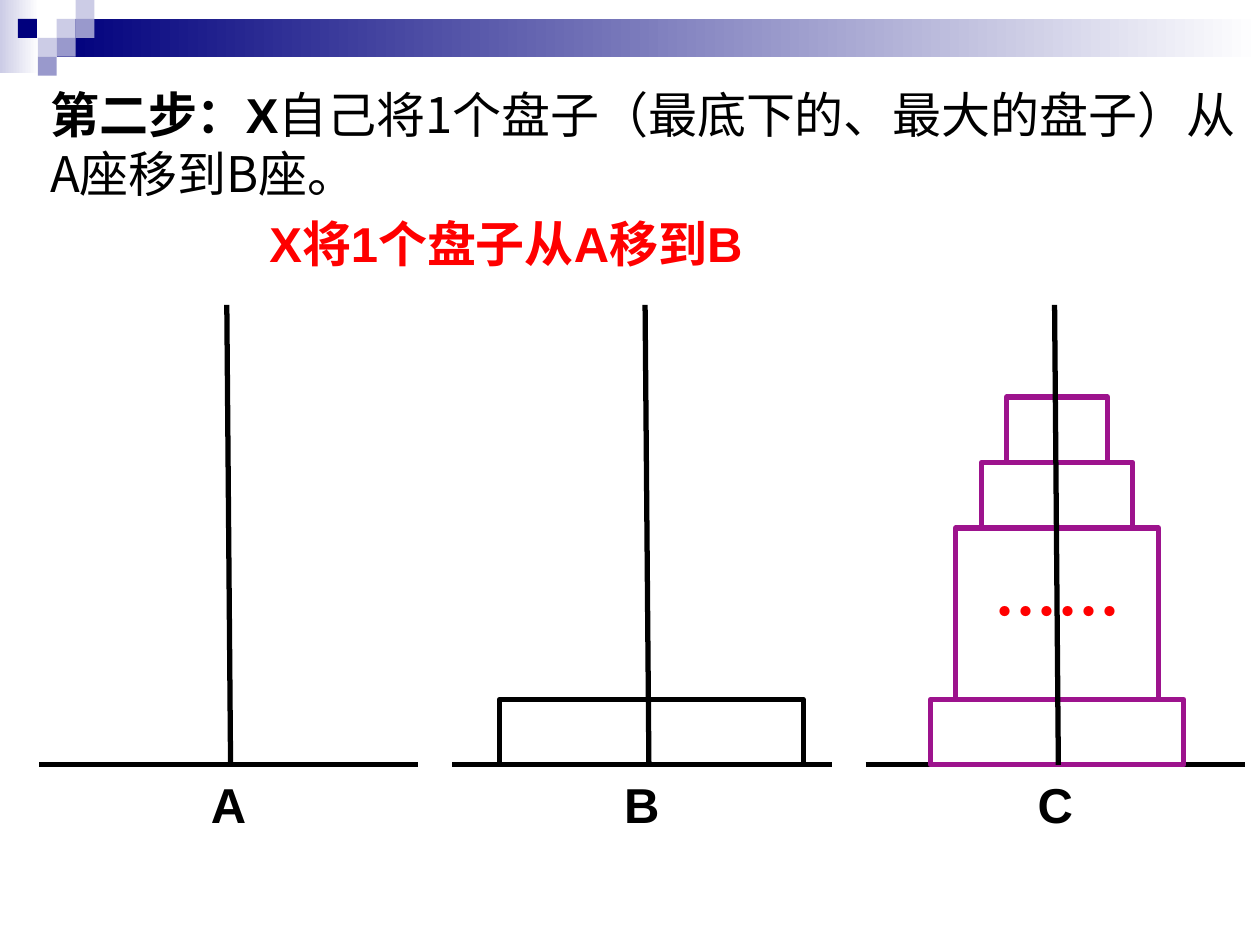
from dataclasses import dataclass

from lxml.etree import SubElement
from pptx import Presentation
from pptx.dml.color import RGBColor
from pptx.enum.shapes import MSO_CONNECTOR, MSO_SHAPE
from pptx.enum.text import MSO_ANCHOR, PP_ALIGN
from pptx.oxml.ns import qn
from pptx.util import Inches, Pt


@dataclass(frozen=True)
class Theme:
    navy: str = "00007D"
    mid: str = "9999CC"
    pale: str = "CCCCE6"
    white: str = "FFFFFF"
    black: str = "000000"
    purple: str = "9D138D"
    red: str = "FF0000"
    latin: str = "Arial"
    cjk: str = "Noto Sans CJK SC"
    body: int = 28
    dots: int = 36
    stroke: int = 3


T = Theme()


def rgb(value):
    return RGBColor.from_string(value)


def add_box(s, kind, x, y, w, h):
    sp = s.shapes.add_shape(kind, Inches(x), Inches(y), Inches(w), Inches(h))
    sp.shadow.inherit = False
    return sp


def add_block(s, x, y, w, h, color, fade=False):
    sp = add_box(s, MSO_SHAPE.RECTANGLE, x, y, w, h)
    sp.line.fill.background()
    if fade:
        sp.fill.gradient()
        sp.fill.gradient_angle = 0
        for stop, (pos, tone) in zip(sp.fill.gradient_stops,
                                     ((0, color), (1, T.white))):
            stop.position = pos
            stop.color.rgb = rgb(tone)
    else:
        sp.fill.solid()
        sp.fill.fore_color.rgb = rgb(color)


def add_line(s, x1, y1, x2, y2):
    line = s.shapes.add_connector(MSO_CONNECTOR.STRAIGHT, Inches(x1), Inches(y1),
                                  Inches(x2), Inches(y2))
    line.line.color.rgb = rgb(T.black)
    line.line.width = Pt(T.stroke)
    SubElement(line._element.spPr, qn("a:effectLst"))


def add_run(p, text, color=T.black, font=T.latin, size=T.body, bold=True):
    r = p.add_run()
    r.text = text
    r.font.size, r.font.bold, r.font.name = Pt(size), bold, font
    r.font.color.rgb = rgb(color)
    SubElement(r._r.get_or_add_rPr(), qn("a:ea")).set("typeface", T.cjk)


def set_indent(p, left, first=0):
    pPr = p._p.get_or_add_pPr()
    pPr.set("marL", str(Inches(left)))
    pPr.set("indent", str(Inches(first)))


def add_text(s, x, y, w, h, top=0.05):
    tf = s.shapes.add_textbox(Inches(x), Inches(y), Inches(w), Inches(h)).text_frame
    tf.word_wrap = True
    tf.margin_top = Inches(top)
    return tf.paragraphs[0]


def add_label(s, x, y, w, h, text, color=T.black, top=0.05):
    p = add_text(s, x, y, w, h, top)
    set_indent(p, 0.38, -0.38)
    p.alignment = PP_ALIGN.CENTER
    p.line_spacing = Pt(24)
    add_run(p, text, color)


def add_header(s, x, y, w):
    """Fading bar with a checker of small squares at its left end."""
    add_block(s, x, y, 0.31, 0.58, T.pale, fade=True)
    add_block(s, x + 0.45, y + 0.15, w - 0.45, 0.3, T.navy, fade=True)
    unit = 0.15
    squares = ((3, 1, T.pale), (4, 0, T.pale), (4, 1, T.mid), (2, 2, T.pale),
               (0.95, 1, T.navy), (3, 2, T.mid), (2, 3, T.mid))
    for col, row, color in squares:
        add_block(s, x + col * unit, y + row * unit, unit, unit, color)


def add_intro(s, x, y, w, h):
    p = add_text(s, x, y, w, h)
    set_indent(p, 0.5)
    add_run(p, "第二步：X")
    add_run(p, "自己将1个盘子（最底下的、最大的盘子）从A座移到B座。",
            font=T.cjk, bold=False)


def add_disc(s, center, y, w, h, color, text=""):
    sp = add_box(s, MSO_SHAPE.FLOWCHART_PROCESS, center - w / 2, y, w, h)
    sp.fill.background()
    sp.line.color.rgb = rgb(color)
    sp.line.width = Pt(T.stroke)
    if text:
        tf = sp.text_frame
        tf.word_wrap = False
        tf.vertical_anchor = MSO_ANCHOR.TOP
        tf.margin_top, tf.margin_bottom = Inches(0.35), Inches(0.12)
        p = tf.paragraphs[0]
        p.alignment = PP_ALIGN.CENTER
        add_run(p, text, T.red, T.cjk, T.dots)


def add_peg(s, x, y, w, h, name, rod, center, discs, color):
    """Base line, discs stacked from the bottom up, name and rod."""
    base = y + h
    add_line(s, x, base, x + w, base)
    top = base
    for disc_w, disc_h, text in discs:
        top -= disc_h
        add_disc(s, x + center, top, disc_w, disc_h, color, text)
    add_label(s, x + 1.12, base + 0.16, 0.77, 0.49, name)
    add_line(s, x + rod, base, x + rod - 0.03, y)


def main():
    prs = Presentation()
    prs.slide_width, prs.slide_height = Inches(10), Inches(7.5)
    s = prs.slides.add_slide(prs.slide_layouts[6])

    add_header(s, 0, 0, 10)

    # Three pegs: name, rod offset, disc centre offset, discs, disc colour
    tower = ((2.01, 0.52, ""), (1.61, 1.36, "……"), (1.2, 0.52, ""), (0.8, 0.52, ""))
    pegs = (("A", 1.52, 1.5, (), T.black),
            ("B", 1.56, 1.58, ((2.41, 0.52, ""),), T.black),
            ("C", 1.53, 1.52, tower, T.purple))
    for i, peg in enumerate(pegs):
        add_peg(s, 0.31 + i * 3.28, 2.42, 3.01, 3.65, *peg)

    # Step caption and explanation
    add_label(s, 1.85, 1.59, 4.33, 0.7, "X将1个盘子从A移到B", T.red, top=0.24)
    add_intro(s, -0.2, 0.62, 10.12, 1.04)

    prs.save("out.pptx")


if __name__ == "__main__":
    main()
